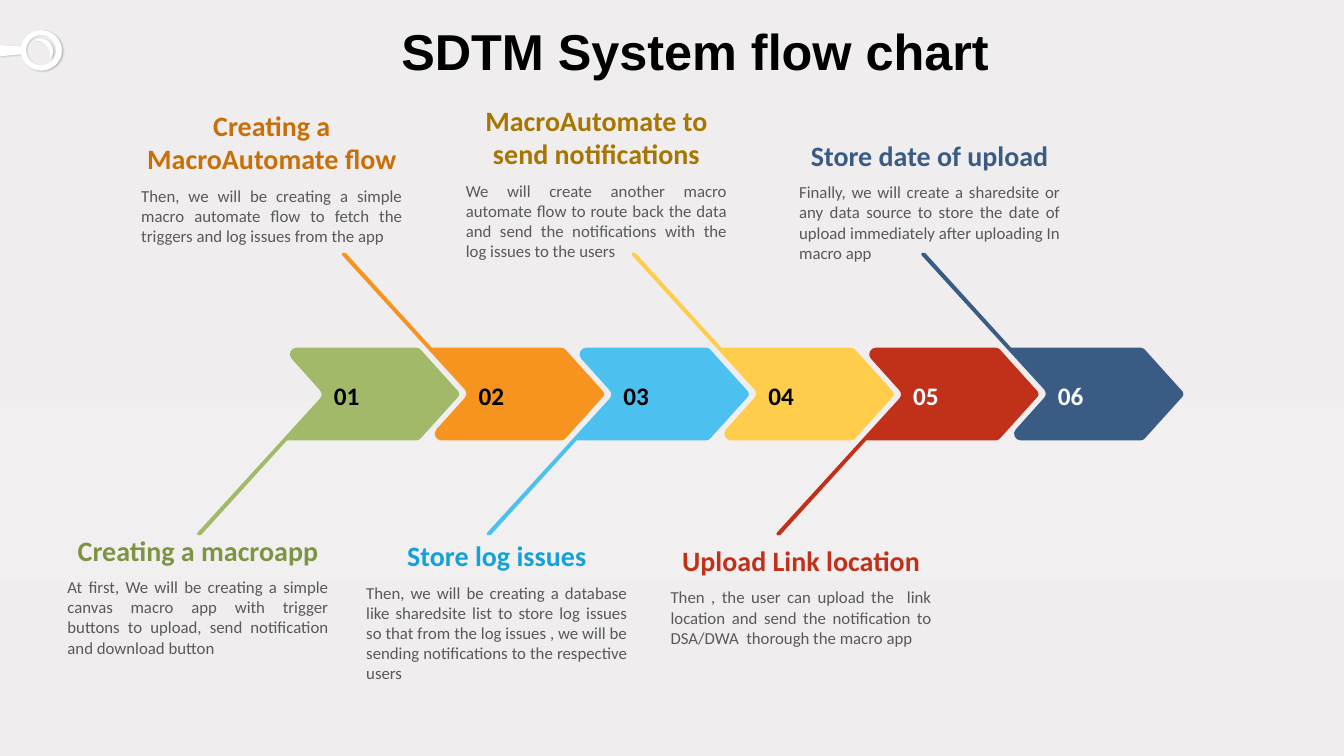
from collections import namedtuple

from lxml.etree import SubElement
from pptx import Presentation
from pptx.dml.color import RGBColor
from pptx.enum.text import MSO_ANCHOR, MSO_AUTO_SIZE, PP_ALIGN
from pptx.oxml.ns import qn
from pptx.util import Cm, Pt

BLACK = RGBColor(0x00, 0x00, 0x00)
WHITE = RGBColor(0xFF, 0xFF, 0xFF)
GREY = RGBColor(0x59, 0x59, 0x59)
GREEN = RGBColor(0xA2, 0xB9, 0x69)
DARK_GREEN = RGBColor(0x7E, 0x94, 0x45)
ORANGE = RGBColor(0xF7, 0x93, 0x1F)
DARK_ORANGE = RGBColor(0xC9, 0x6F, 0x07)
CYAN = RGBColor(0x4C, 0xC1, 0xEF)
DARK_CYAN = RGBColor(0x13, 0xA1, 0xD9)
YELLOW = RGBColor(0xFF, 0xCC, 0x4C)
DARK_YELLOW = RGBColor(0xA6, 0x76, 0x00)
RED = RGBColor(0xC1, 0x30, 0x18)
NAVY = RGBColor(0x3A, 0x5C, 0x84)
BACKGROUND_STOPS = [(0, "EFEDEE"), (53, "F1EFF0"), (77, "EFEDEE"), (100, "EFEBEC")]

# Positions in centimetres
ARROW_LEFT, ARROW_STEP, ARROW_MIDDLE = 4.99, 3.65, 9.93
NUMBER_OFFSET = 3.16
CAPTION_WIDTH = 6.58

# Contours: a start point, then segments; one point is a line, three are a curve
ARROW = [
    [(6.53, -0.1)],
    [(5.61, -1.12)],
    [(5.59, -1.15), (5.54, -1.17), (5.49, -1.17)],
    [(2.49, -1.17)],
    [(2.34, -1.17), (2.26, -0.99), (2.36, -0.89)],
    [(3.07, -0.1)],
    [(3.13, -0.03), (3.13, 0.05), (3.07, 0.12)],
    [(2.11, 1.17)],
    [(0, 3.48)],
    [(-0.03, 3.51), (-0.03, 3.53), (0, 3.56)],
    [(0.03, 3.57), (0.06, 3.57), (0.08, 3.55)],
    [(2.24, 1.17)],
    [(5.49, 1.17)],
    [(5.54, 1.17), (5.59, 1.15), (5.61, 1.12)],
    [(6.53, 0.1)],
    [(6.6, 0.05), (6.6, -0.05), (6.53, -0.1)],
]
RING_GLINT = [
    [(1.02, 0.97)],
    [(1.12, 0.97), (1.22, 1.02), (1.27, 1.09)],
    [(1.37, 1.22), (1.37, 1.4), (1.24, 1.5)],
    [(1.3, 1.4), (1.27, 1.27), (1.19, 1.17)],
    [(1.12, 1.07), (0.99, 1.02), (0.86, 1.02)],
    [(0.91, 0.99), (0.97, 0.97), (1.02, 0.97)],
]
RING_HOLE = [
    [(1.04, 0.89)],
    [(0.83, 0.89), (0.66, 1.06), (0.66, 1.27)],
    [(0.66, 1.48), (0.83, 1.65), (1.04, 1.65)],
    [(1.25, 1.65), (1.42, 1.48), (1.42, 1.27)],
    [(1.42, 1.06), (1.25, 0.89), (1.04, 0.89)],
]
RING_EDGE = [
    [(1.04, 0.76)],
    [(1.32, 0.76), (1.56, 0.99), (1.56, 1.27)],
    [(1.56, 1.55), (1.32, 1.78), (1.04, 1.78)],
    [(0.79, 1.78), (0.58, 1.6), (0.53, 1.37)],
    [(0, 1.42)],
    [(0, 1.14)],
    [(0.53, 1.17)],
    [(0.58, 0.94), (0.79, 0.76), (1.04, 0.76)],
]

Step = namedtuple(
    "Step", "fill number_color heading_color left body_top heading_lines body_lines heading body")
STEPS = [
    Step(GREEN, BLACK, DARK_GREEN, 1.7, 14.41, 1, 4, "Creating a macroapp",
         "At first, We will be creating a simple canvas macro app with trigger "
         "buttons to upload, send notification and download button"),
    Step(ORANGE, BLACK, DARK_ORANGE, 3.56, 4.55, 2, 3, "Creating a MacroAutomate flow",
         "Then, we will be creating a simple macro automate flow to fetch the "
         "triggers and log issues from the app"),
    Step(CYAN, BLACK, DARK_CYAN, 9.23, 14.55, 1, 5, "Store log issues",
         "Then, we will be creating a database like sharedsite list to store log issues "
         "so that from the log issues , we will be sending notifications to the "
         "respective users"),
    Step(YELLOW, BLACK, DARK_YELLOW, 11.74, 4.42, 2, 4, "MacroAutomate to send notifications",
         "We will create another macro automate flow to route back the data and "
         "send the notifications with the log issues to the users"),
    Step(RED, WHITE, RED, 16.9, 14.67, 1, 3, "Upload Link location",
         "Then , the user can upload the  link location and send the notification "
         "to DSA/DWA  thorough the macro app"),
    Step(NAVY, WHITE, NAVY, 20.14, 4.46, 1, 4, "Store date of upload",
         "Finally, we will create a sharedsite or any data source to store the date of "
         "upload immediately after uploading In macro app"),
]


class FlowSlide:
    heading_font = "Arial"
    text_font = "Calibri"

    def __init__(self, presentation):
        self.slide = presentation.slides.add_slide(presentation.slide_layouts[5])

    def background(self, stops):
        fill = self.slide.background.fill
        fill.gradient()
        fill.gradient_angle = 270
        stop_list = self.slide.element.find(".//" + qn("a:gsLst"))
        for stop in list(stop_list):
            stop_list.remove(stop)
        for percent, color in stops:
            stop = SubElement(stop_list, qn("a:gs"), pos=str(percent * 1000))
            SubElement(stop, qn("a:srgbClr"), val=color)

    def style(self, frame, text, size, color, align, font, bold):
        frame.text = text
        paragraph = frame.paragraphs[0]
        paragraph.alignment = align
        for run in paragraph.runs:
            run.font.name, run.font.size, run.font.bold = font, Pt(size), bold
            run.font.color.rgb = color
        return paragraph

    def title(self, text):
        title = self.slide.shapes.title
        title.left, title.top, title.width, title.height = Cm(2.79), Cm(0.55), Cm(29.21), Cm(2.06)
        frame = title.text_frame
        frame.auto_size = MSO_AUTO_SIZE.NONE
        frame.vertical_anchor = MSO_ANCHOR.TOP
        frame.margin_right = 0
        self.style(frame, text, 36, BLACK, PP_ALIGN.CENTER, self.heading_font,
                   True).line_spacing = 0.9

    def text(self, box, text, size, color, align=PP_ALIGN.CENTER, bold=True,
             anchor=MSO_ANCHOR.TOP, wrap=True):
        frame = self.slide.shapes.add_textbox(*map(Cm, box)).text_frame
        frame.word_wrap = wrap
        frame.auto_size = MSO_AUTO_SIZE.SHAPE_TO_FIT_TEXT
        frame.vertical_anchor = anchor
        if wrap:
            frame.margin_left = frame.margin_right = 0
        self.style(frame, text, size, color, align, self.text_font, bold)

    def outline(self, contours, color):
        builder = self.slide.shapes.build_freeform(*map(Cm, contours[0][0][0]))
        for index, (start, *segments) in enumerate(contours):
            if index:
                builder.move_to(*map(Cm, start[0]))
            builder.add_line_segments(
                [(Cm(x), Cm(y)) for segment in segments for x, y in segment], close=True)
        shape = builder.convert_to_shape()

        # Join the three points of each curve into one Bezier segment
        lines = shape.element.spPr.iter(qn("a:lnTo"))
        lines = iter(list(lines))
        for _, *segments in contours:
            for segment in segments:
                parts = [next(lines) for _ in segment]
                if len(parts) == 3:
                    curve = SubElement(parts[0].getparent(), qn("a:cubicBezTo"))
                    parts[0].addprevious(curve)
                    for part in parts:
                        curve.append(part[0])
                        part.getparent().remove(part)

        shape.shadow.inherit = False
        shape.fill.solid()
        shape.fill.fore_color.rgb = color
        shape.line.fill.background()
        return shape

    def ring(self):
        ring = self.outline([RING_GLINT, RING_HOLE, RING_EDGE], WHITE)
        effects = ring.element.spPr.find(qn("a:effectLst"))
        shadow = SubElement(effects, qn("a:outerShdw"), blurRad=str(Pt(1)), dist=str(Pt(1)),
                            dir="2700000", algn="tl", rotWithShape="0")
        color = SubElement(shadow, qn("a:srgbClr"), val="808080")
        SubElement(color, qn("a:alpha"), val="40000")

    def arrow(self, index, step):
        left = ARROW_LEFT + index * ARROW_STEP
        direction = -1 if index % 2 else 1
        self.outline([[[(left + x, ARROW_MIDDLE + direction * y) for x, y in segment]
                       for segment in ARROW]], step.fill)

    def number(self, index, step):
        left = ARROW_LEFT + index * ARROW_STEP + NUMBER_OFFSET
        self.text((left, 9.45, 1.17, 1.03), f"{index + 1:02}", 18, step.number_color,
                  anchor=MSO_ANCHOR.MIDDLE, wrap=False)

    def caption(self, step):
        heading_height = 0.27 + 0.84 * step.heading_lines
        self.text((step.left, step.body_top - heading_height, CAPTION_WIDTH, heading_height),
                  step.heading, 20, step.heading_color, anchor=MSO_ANCHOR.BOTTOM)
        self.text((step.left, step.body_top, CAPTION_WIDTH, 0.25 + 0.52 * step.body_lines),
                  step.body, 12, GREY, align=PP_ALIGN.JUSTIFY, bold=False)


def main():
    presentation = Presentation()
    presentation.slide_width, presentation.slide_height = Cm(33.87), Cm(19.05)
    flow = FlowSlide(presentation)

    # Backdrop and title
    flow.background(BACKGROUND_STOPS)
    flow.ring()
    flow.title("SDTM System flow chart")

    # Chain of arrows, with numbers and captions
    for index, step in enumerate(STEPS):
        flow.arrow(index, step)
    for index, step in enumerate(STEPS):
        flow.number(index, step)
        flow.caption(step)

    presentation.save("out.pptx")


if __name__ == "__main__":
    main()
